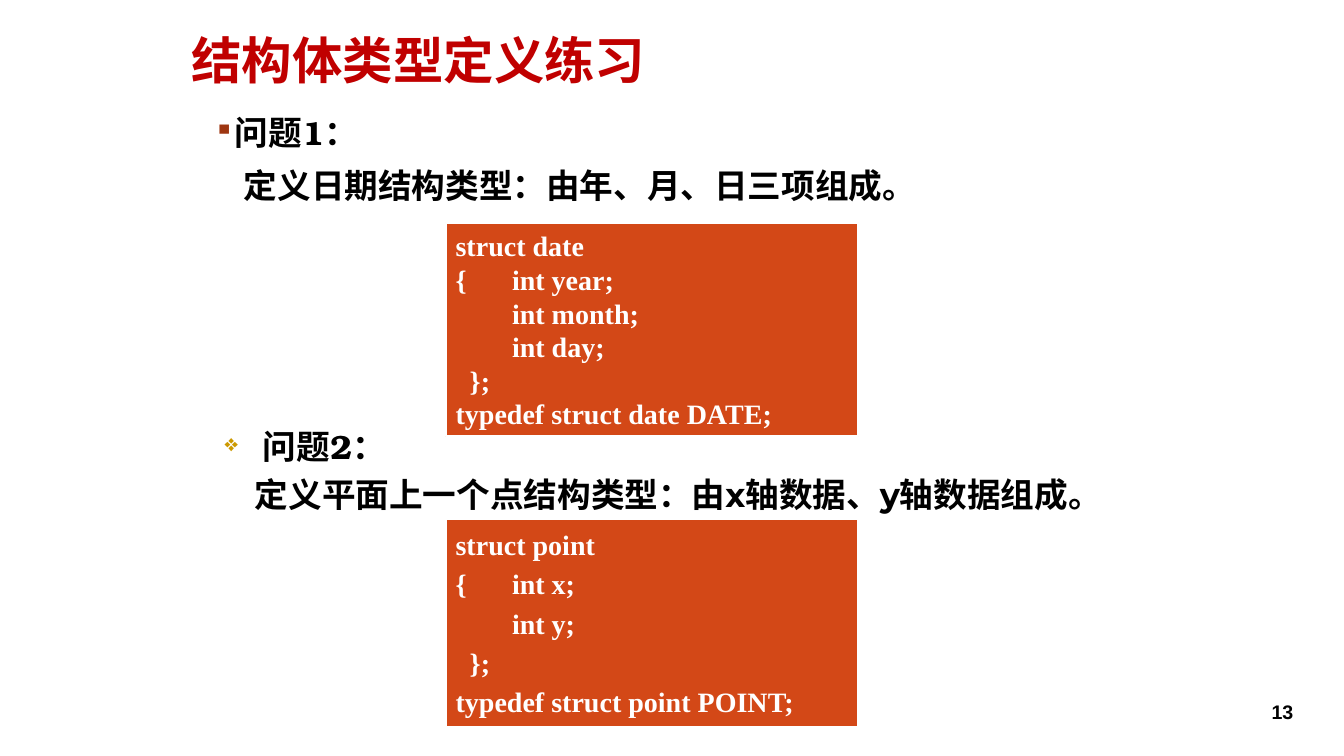
from pptx import Presentation
from pptx.dml.color import RGBColor
from pptx.enum.shapes import MSO_SHAPE
from pptx.enum.text import MSO_ANCHOR, PP_ALIGN
from pptx.oxml import parse_xml
from pptx.oxml.ns import nsdecls
from pptx.util import Inches, Pt

COLORS = {"title": "C00000", "text": "000000", "code": "D34817",
          "white": "FFFFFF", "square": "9E3611", "diamond": "CC9900"}


def color(name):
    return RGBColor.from_string(COLORS[name])


def style(para, font, size, ink):
    for run in para.runs:
        run.font.name = font
        run.font.size = Pt(size)
        run.font.bold = True
        run.font.color.rgb = color(ink)


def indent(para, left, first=0):
    props = para._p.get_or_add_pPr()
    props.set("marL", str(Inches(left)))
    props.set("indent", str(Inches(first)))


def bullet(para, mark, ink, size):
    props = para._p.get_or_add_pPr()
    for xml in (f'<a:buClr {nsdecls("a")}><a:srgbClr val="{COLORS[ink]}"/></a:buClr>',
                f'<a:buSzPct {nsdecls("a")} val="{size * 1000}"/>',
                f'<a:buChar {nsdecls("a")} char="{mark}"/>'):
        props.append(parse_xml(xml))


def add_title(slide, box, text):
    title = slide.shapes.title
    title.left, title.top, title.width, title.height = map(Inches, box)
    frame = title.text_frame
    frame.text = text
    frame.vertical_anchor = MSO_ANCHOR.MIDDLE
    para = frame.paragraphs[0]
    para.alignment = PP_ALIGN.LEFT
    para.line_spacing = 0.9
    style(para, "Arial Narrow", 36, "title")


def add_task(slide, box, head, body, mark, hang, gap, spacing):
    """Bulleted heading with one indented line below it."""
    frame = slide.shapes.add_textbox(*map(Inches, box)).text_frame
    frame.word_wrap = True
    frame.text = f"{head}\n{body}"
    top, low = frame.paragraphs
    for para, font in ((top, "TeX Gyre Bonum"), (low, "Montserrat")):
        para.space_before = Pt(gap)
        para.line_spacing = spacing
        style(para, font, 24, "text")
    indent(top, hang, -hang)
    bullet(top, *mark)
    indent(low, 0.3)


def add_code(slide, box, lines, gap):
    """Code panel; each line comes with its left and first-line indent."""
    panel = slide.shapes.add_shape(MSO_SHAPE.RECTANGLE, *map(Inches, box))
    panel.shadow.inherit = False
    panel.fill.solid()
    panel.fill.fore_color.rgb = color("code")
    panel.line.color.rgb = color("white")
    panel.line.width = Pt(1.5)
    frame = panel.text_frame
    frame.word_wrap = True
    frame.vertical_anchor = MSO_ANCHOR.MIDDLE
    frame.text = "\n".join(text for text, *_ in lines)
    for para, (_, left, first) in zip(frame.paragraphs, lines):
        para.alignment = PP_ALIGN.LEFT
        para.space_before = Pt(gap)
        indent(para, left, first)
        style(para, "Times New Roman", 20, "white")


def struct(name, fields, alias):
    """Lines of a struct definition, fields aligned after the brace."""
    tab = 0.56
    return [(f"struct {name}", 0, 0),
            (f"{{\t{fields[0]}", tab, -tab),
            *((field, tab, 0) for field in fields[1:]),
            ("};", 0.14, 0),
            (f"typedef struct {name} {alias};", 0, 0)]


def add_number(slide, box, text):
    frame = slide.shapes.add_textbox(*map(Inches, box)).text_frame
    frame.word_wrap = True
    frame.vertical_anchor = MSO_ANCHOR.MIDDLE
    frame.text = text
    para = frame.paragraphs[0]
    para.alignment = PP_ALIGN.CENTER
    style(para, "Arial", 14, "text")


def main():
    deck = Presentation()
    deck.slide_width, deck.slide_height = Inches(13.33), Inches(7.5)
    slide = deck.slides.add_slide(deck.slide_layouts[5])

    add_title(slide, (1.8, 0.27, 9.34, 0.72), "结构体类型定义练习")

    # Task 1: date
    add_task(slide, (2.02, 1.11, 9.53, 1.1), "问题1：",
             "定义日期结构类型：由年、月、日三项组成。",
             ("▪", "square", 85), 0.2, 12, 0.9)
    add_code(slide, (4.42, 2.21, 4.09, 2.12),
             struct("date", ["int year;", "int month;", "int day;"], "DATE"), 0)

    # Task 2: point
    add_task(slide, (2.13, 4.18, 9.42, 1.1), "问题2：",
             "定义平面上一个点结构类型：由x轴数据、y轴数据组成。",
             ("❖", "diamond", 70), 0.38, 5, 1.0)
    add_code(slide, (4.42, 5.15, 4.09, 2.06),
             struct("point", ["int x;", "int y;"], "POINT"), 4)

    add_number(slide, (12.37, 6.86, 0.7, 0.4), "13")
    deck.save("out.pptx")


if __name__ == "__main__":
    main()
